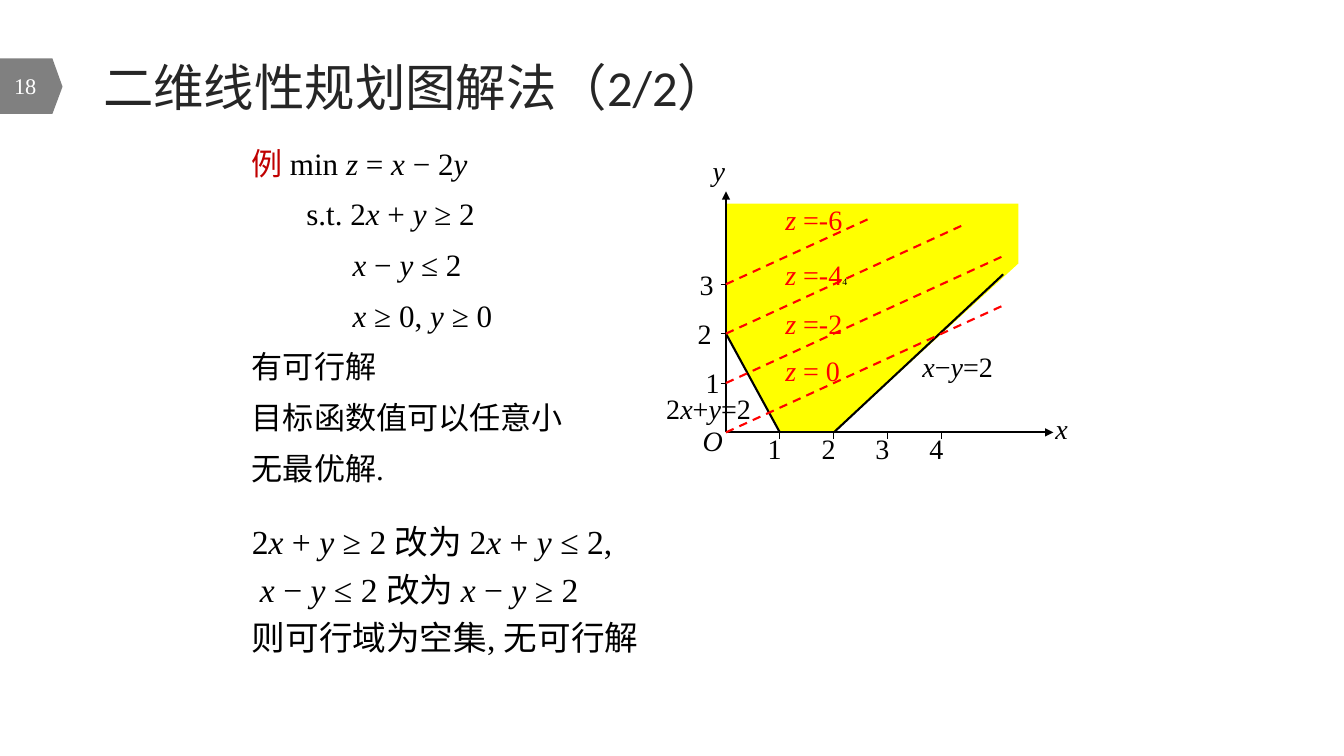
from itertools import groupby
from lxml import etree
from pptx import Presentation
from pptx.dml.color import RGBColor
from pptx.enum.dml import MSO_LINE
from pptx.enum.shapes import MSO_CONNECTOR
from pptx.enum.text import MSO_ANCHOR, MSO_AUTO_SIZE, PP_ALIGN
from pptx.oxml.ns import qn
from pptx.util import Inches, Pt

STRAIGHT = MSO_CONNECTOR.STRAIGHT
DASH, SOLID = MSO_LINE.DASH, MSO_LINE.SOLID
MIDDLE, TOP = MSO_ANCHOR.MIDDLE, MSO_ANCHOR.TOP
LEFT, RIGHT = PP_ALIGN.LEFT, PP_ALIGN.RIGHT
NO_FIT = MSO_AUTO_SIZE.NONE

THEME = {
    "serif": "Times New Roman", "sans": "Calibri",
    "title": 36, "body": 22.2, "note": 24, "label": 20, "page": 16, "tiny": 7,
    "black": RGBColor(0, 0, 0), "ink": RGBColor(0x26, 0x26, 0x26),
    "white": RGBColor(255, 255, 255), "grey": RGBColor(0x80, 0x80, 0x80),
    "crimson": RGBColor(0xC0, 0, 0), "red": RGBColor(255, 0, 0),
    "yellow": RGBColor(255, 255, 0),
}
X0, Y0, COL, ROW = 7.2, 4.29, 0.535, 0.49


def write(p, text, size, color="black", font="serif"):
    for italic, chars in groupby(text, lambda ch: ch in "xyzO"):
        r = p.add_run()
        r.text = "".join(chars)
        fmt = {"name": THEME[font], "size": Pt(THEME[size]), "italic": italic}
        for name, value in fmt.items():
            setattr(r.font, name, value)
        r.font.color.rgb = THEME[color]


def add_box(left, top, width, height, anchor=TOP):
    sp = s.shapes.add_textbox(*map(Inches, (left, top, width, height)))
    tf = sp.text_frame
    for name, value in {"word_wrap": True, "auto_size": NO_FIT, "vertical_anchor": anchor}.items():
        setattr(tf, name, value)
    return tf


prs = Presentation()
prs.slide_width, prs.slide_height = Inches(13.33), Inches(7.5)
s = prs.slides.add_slide(prs.slide_layouts[5])

title = s.shapes.title
box = {"left": 0.81, "top": 0.47, "width": 10.92, "height": 0.77}
for name, value in box.items():
    setattr(title, name, Inches(value))
tf = title.text_frame
for name, value in {"word_wrap": True, "auto_size": NO_FIT, "vertical_anchor": MIDDLE}.items():
    setattr(tf, name, value)
tf.paragraphs[0].alignment = LEFT
write(tf.paragraphs[0], " 二维线性规划图解法（2/2）", "title", "ink", "sans")

page_tag = [(0, 0.58), (0.52, 0.58), (0.62, 0.86), (0.52, 1.13), (0, 1.13)]
region = [(0, 2), (0, 4.63), (5.42, 4.63), (5.42, 3.42), (2, 0), (1, 0)]
region = [(X0 + u * COL, Y0 - v * ROW) for u, v in region]
for points, color in ((page_tag, "grey"), (region, "yellow")):
    points = [(Inches(x), Inches(y)) for x, y in points]
    outline = s.shapes.build_freeform(*points[0])
    outline.add_line_segments(points[1:])
    sp = outline.convert_to_shape()
    sp.shadow.inherit = False
    sp.fill.solid()
    sp.fill.fore_color.rgb = THEME[color]
    sp.line.fill.background()

p = add_box(0, 0.65, 0.46, 0.4, MIDDLE).paragraphs[0]
p.alignment = RIGHT
write(p, "18", "page", "white")

problem = [
    (0, "min z = x − 2y"), (0.54, "s.t. 2x + y ≥ 2"), (1, "x − y ≤ 2"),
    (1, "x ≥ 0, y ≥ 0"), (0, "有可行解"), (0, "目标函数值可以任意小"), (0, "无最优解."),
]
variant = [
    (0, "2x + y ≥ 2 改为 2x + y ≤ 2,"), (0.08, "x − y ≤ 2 改为 x − y ≥ 2"),
    (0, "则可行域为空集, 无可行解"),
]
blocks = [
    (problem, (2.4, 1.45, 4.1, 3.45), "body", {"line_spacing": 0.8, "space_before": Pt(15)}),
    (variant, (2.4, 5.12, 7.81, 1.47), "note", {"space_before": Pt(5.5)}),
]
for lines, place, size, fmt in blocks:
    tf = add_box(*place)
    for i, (indent, text) in enumerate(lines):
        p = tf.add_paragraph() if i else tf.paragraphs[0]
        for name, value in fmt.items():
            setattr(p, name, value)
        p._p.get_or_add_pPr().set("marL", str(Inches(indent)))
        if lines is problem and i == 0:
            write(p, "例 ", size, "crimson")
        write(p, text, size)

axes = [(0, 0, 6.07, 0), (0, 0, 0, 4.88)]
borders = [(0, 2, 1, 0), (5.14, 3.2, 2, 0)]
levels = [(0, k, u, k + u / 2) for k, u in enumerate((5.12, 5.12, 4.43, 2.7))]
ticks = [(-0.1, v, 0, v) for v in (1, 2, 3)] + [(u, 0, u, -0.14) for u in (1, 2, 3, 4)]
strokes = [
    (axes, "black", 1.5, SOLID), (borders, "black", 1.5, SOLID),
    (levels, "red", 1.5, DASH), (ticks, "black", 0.75, SOLID),
]
for group, color, width, dash in strokes:
    for u1, v1, u2, v2 in group:
        ends = (X0 + u1 * COL, Y0 - v1 * ROW, X0 + u2 * COL, Y0 - v2 * ROW)
        cx = s.shapes.add_connector(STRAIGHT, *map(Inches, ends))
        cx.line.color.rgb = THEME[color]
        for name, value in {"width": Pt(width), "dash_style": dash}.items():
            setattr(cx.line, name, value)
        if group is axes:
            etree.SubElement(cx.line._get_or_add_ln(), qn("a:tailEnd"), type="triangle")
        etree.SubElement(cx._element.spPr, qn("a:effectLst"))

labels = [
    ("2x+y=2", 6.51, 3.83, "black"), ("x−y=2", 9.05, 3.42, "black"),
    ("O", 6.87, 4.15, "black"), ("x", 10.37, 4.03, "black"), ("y", 6.97, 1.47, "black"),
    ("1", 6.9, 3.58, "black"), ("2", 6.82, 3.09, "black"), ("3", 6.84, 2.6, "black"),
    ("z = 0", 7.69, 3.46, "red"), ("z =-2", 7.69, 2.99, "red"),
    ("z =-4", 7.69, 2.51, "red"), ("z =-6", 7.69, 1.96, "red"),
]
labels += [(str(u), X0 + u * COL - 0.22, 4.23, "black") for u in (1, 2, 3, 4)]
for text, left, top, color in labels:
    p = add_box(left, top, 0.43 if len(text) == 1 else 1.1, 0.41).paragraphs[0]
    write(p, text, "label", color)
    if text == "z =-4":
        write(p, "4", "tiny")

prs.save("out.pptx")
